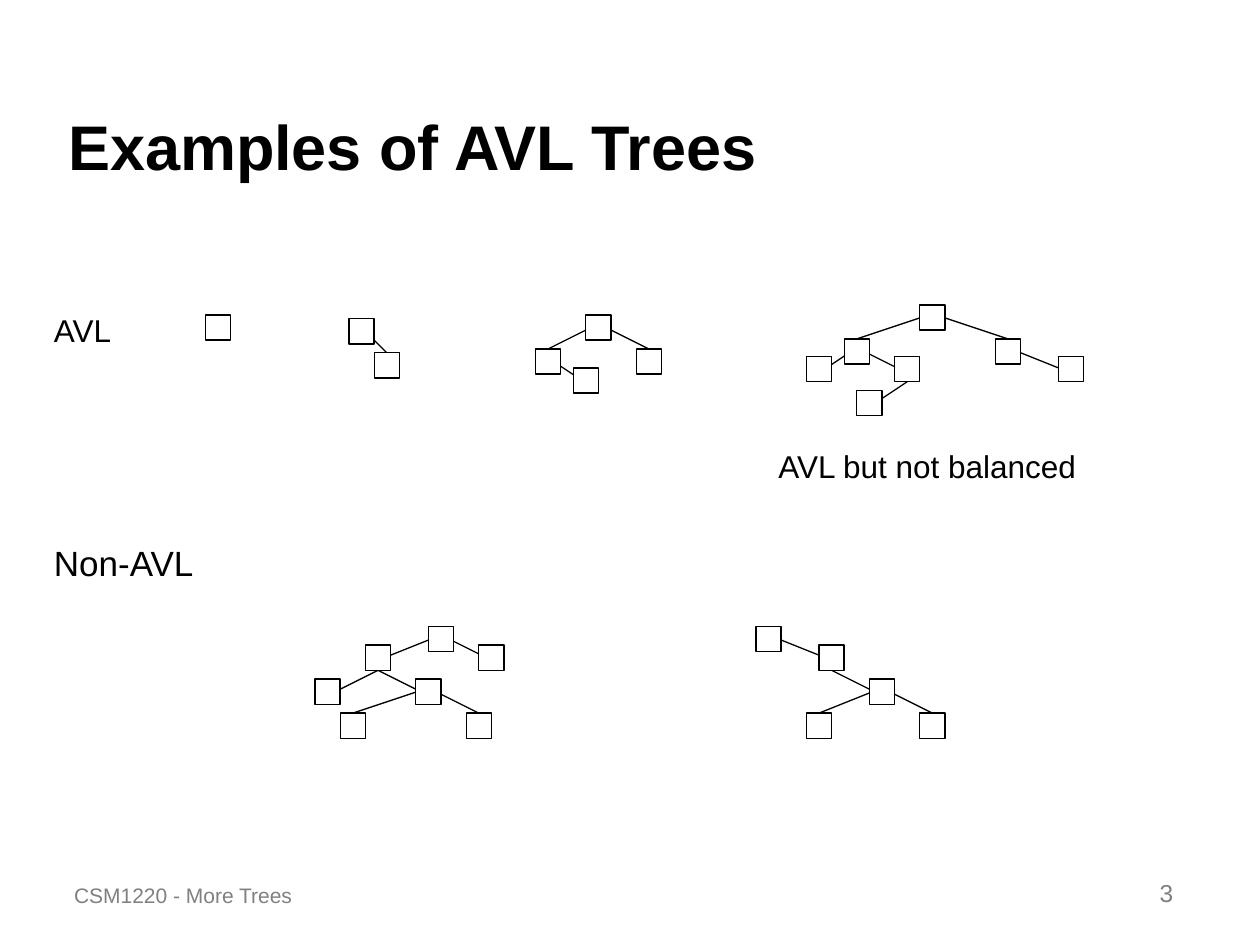
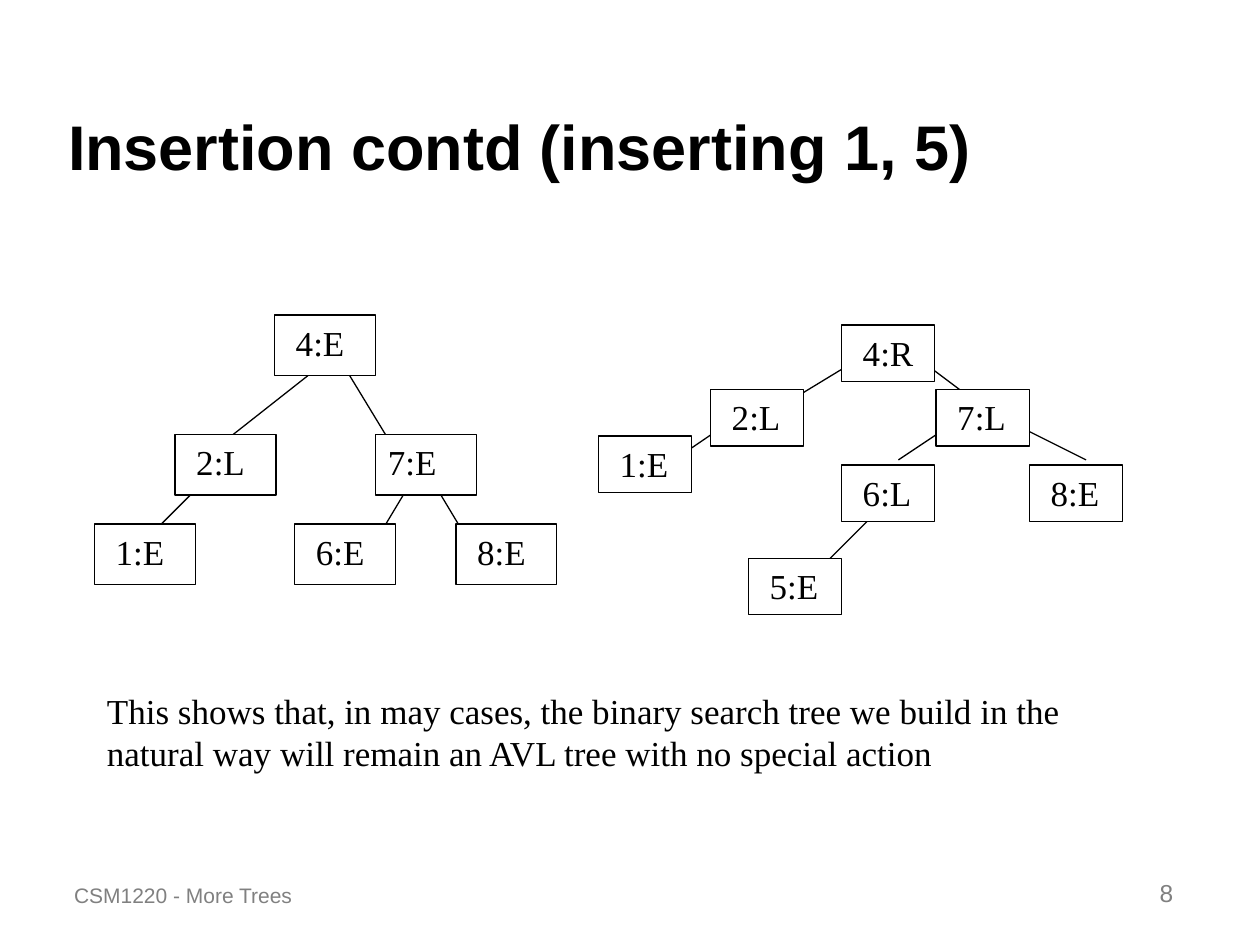
import dataclasses
import typing

import lxml.etree
import pptx
import pptx.dml.color
import pptx.enum.shapes
import pptx.enum.text
import pptx.oxml.ns
import pptx.slide
import pptx.text.text
import pptx.util

Inches = pptx.util.Inches
Pt = pptx.util.Pt
Align = pptx.enum.text.PP_ALIGN
Anchor = pptx.enum.text.MSO_ANCHOR

BLACK = pptx.dml.color.RGBColor(0x00, 0x00, 0x00)
WHITE = pptx.dml.color.RGBColor(0xFF, 0xFF, 0xFF)
GREY = pptx.dml.color.RGBColor(0x80, 0x80, 0x80)
SANS = "Arial"
SERIF = "Times New Roman"

TITLE_ONLY_LAYOUT = 5
LINE_WIDTH = Pt(0.75)
SMALL_BOX = 0.2
EDGE_DROP = 0.2
NEAR_TOP = 0.07
BOTTOM = 0.2
FRAME_FORMAT = {
    "word_wrap": True,
    "auto_size": pptx.enum.text.MSO_AUTO_SIZE.NONE,
    "margin_left": Inches(0.1),
    "margin_right": Inches(0.1),
    "margin_top": Inches(0.05),
    "margin_bottom": Inches(0.05),
}


@dataclasses.dataclass(frozen=True)
class TextStyle:
    size: float
    font: str = SANS
    color: pptx.dml.color.RGBColor = BLACK
    bold: bool = False
    align: Align = Align.LEFT
    anchor: Anchor = Anchor.TOP
    space_before: float = 0


class Caption(typing.NamedTuple):
    text: str
    left: float
    top: float
    width: float
    height: float
    style: TextStyle


class Node(typing.NamedTuple):
    left: float
    top: float
    label: str = ""


class Edge(typing.NamedTuple):
    x1: float
    y1: float
    x2: float
    y2: float


class Branch(typing.NamedTuple):
    parent: int
    child: int
    leave: float = NEAR_TOP


@dataclasses.dataclass(frozen=True)
class Tree:
    nodes: list[Node]
    edges: list[Edge]
    width: float = SMALL_BOX
    height: float = SMALL_BOX


TITLE_STYLE = TextStyle(36, bold=True, anchor=Anchor.BOTTOM)
ROW_STYLE = TextStyle(18, space_before=11.2)
NON_AVL_STYLE = TextStyle(20, space_before=12.5)
NODE_STYLE = TextStyle(20, SERIF)
REMARK_STYLE = TextStyle(20, SERIF, space_before=12.5)
FOOTER_STYLE = TextStyle(12, color=GREY, anchor=Anchor.BOTTOM, space_before=7.5)
NUMBER_STYLE = TextStyle(
    14, color=GREY, align=Align.RIGHT, anchor=Anchor.BOTTOM, space_before=8.8
)


def small_tree(nodes: list[Node], branches: list[Branch]) -> Tree:
    edges = []
    for branch in branches:
        parent, child = nodes[branch.parent], nodes[branch.child]
        start = parent.top + branch.leave
        middle = SMALL_BOX / 2
        edges.append(
            Edge(parent.left + middle, start, child.left + middle, start + EDGE_DROP)
        )
    return Tree(nodes, edges)


EXAMPLE_TREES = [
    small_tree([Node(1.63, 2.5)], []),
    small_tree([Node(2.77, 2.53), Node(2.97, 2.8)], [Branch(0, 1)]),
    small_tree(
        [Node(4.65, 2.5), Node(4.25, 2.77), Node(5.05, 2.77), Node(4.55, 2.92)],
        [Branch(0, 1), Branch(0, 2), Branch(1, 3)],
    ),
    small_tree(
        [
            Node(7.3, 2.42), Node(6.7, 2.69), Node(7.9, 2.69), Node(6.4, 2.83),
            Node(7.1, 2.83), Node(8.4, 2.83), Node(6.8, 3.1),
        ],
        [
            Branch(0, 1), Branch(0, 2), Branch(1, 3), Branch(1, 4),
            Branch(2, 5), Branch(4, 6, BOTTOM),
        ],
    ),
    small_tree(
        [
            Node(3.4, 4.97), Node(2.9, 5.12), Node(3.8, 5.12), Node(2.5, 5.39),
            Node(3.3, 5.39), Node(2.7, 5.66), Node(3.7, 5.66),
        ],
        [
            Branch(0, 1), Branch(0, 2), Branch(1, 3, BOTTOM),
            Branch(1, 4, BOTTOM), Branch(4, 5), Branch(4, 6),
        ],
    ),
    small_tree(
        [
            Node(6, 4.97), Node(6.5, 5.12), Node(6.9, 5.39),
            Node(6.4, 5.66), Node(7.3, 5.66),
        ],
        [Branch(0, 1), Branch(1, 2, BOTTOM), Branch(2, 3), Branch(2, 4)],
    ),
]
EXAMPLE_CAPTIONS = [
    Caption("AVL but not balanced", 6.08, 3.5, 2.83, 0.4, ROW_STYLE),
    Caption("AVL", 0.33, 2.42, 0.83, 0.4, ROW_STYLE),
    Caption("Non-AVL", 0.33, 4.25, 1.5, 0.44, NON_AVL_STYLE),
]

INSERTION_TREES = [
    Tree(
        [
            Node(2.18, 2.5, " 4:E"), Node(1.39, 3.45, " 2:L"),
            Node(2.98, 3.45, "7:E"), Node(0.75, 4.16, " 1:E"),
            Node(2.34, 4.16, " 6:E"), Node(3.62, 4.16, " 8:E"),
        ],
        [
            Edge(2.56, 2.89, 1.76, 3.52), Edge(1.6, 3.84, 1.12, 4.32),
            Edge(2.72, 2.89, 3.2, 3.68), Edge(3.35, 3.68, 3.83, 4.48),
            Edge(3.35, 3.68, 2.87, 4.48),
        ],
        0.8,
        0.48,
    ),
    Tree(
        [
            Node(6.68, 2.58, " 4:R"), Node(5.64, 3.09, " 2:L"),
            Node(7.43, 3.09, " 7:L"), Node(4.75, 3.46, " 1:E"),
            Node(6.68, 3.69, " 6:L"), Node(8.17, 3.69, " 8:E"),
            Node(5.94, 4.43, " 5:E"),
        ],
        [
            Edge(7.03, 3.99, 6.44, 4.58), Edge(6.83, 2.84, 6.09, 3.29),
            Edge(5.79, 3.35, 5.35, 3.65), Edge(7.28, 2.84, 7.88, 3.29),
            Edge(7.58, 3.35, 7.13, 3.65), Edge(8.02, 3.35, 8.62, 3.65),
        ],
        0.74,
        0.45,
    ),
]
INSERTION_CAPTIONS = [
    Caption(
        "This shows that, in may cases, the binary search tree we build in the "
        "natural way will remain an AVL tree with no special action",
        0.75, 5.42, 8.58, 0.77, REMARK_STYLE,
    ),
]


def apply_format(target: typing.Any, values: dict[str, typing.Any]) -> None:
    for name, value in values.items():
        setattr(target, name, value)


def write_text(
    frame: pptx.text.text.TextFrame, text: str, style: TextStyle
) -> None:
    apply_format(frame, FRAME_FORMAT | {"vertical_anchor": style.anchor})
    paragraph = frame.paragraphs[0]
    apply_format(
        paragraph,
        {"alignment": style.align, "space_before": Pt(style.space_before)},
    )
    run = paragraph.add_run()
    run.text = text
    apply_format(
        run.font, {"name": style.font, "size": Pt(style.size), "bold": style.bold}
    )
    run.font.color.rgb = style.color


def draw_caption(slide: pptx.slide.Slide, caption: Caption) -> None:
    box = slide.shapes.add_textbox(
        Inches(caption.left),
        Inches(caption.top),
        Inches(caption.width),
        Inches(caption.height),
    )
    write_text(box.text_frame, caption.text, caption.style)


def draw_edge(slide: pptx.slide.Slide, edge: Edge) -> None:
    line = slide.shapes.add_connector(
        pptx.enum.shapes.MSO_CONNECTOR.STRAIGHT, *map(Inches, edge)
    )
    line.line.color.rgb = BLACK
    line.line.width = LINE_WIDTH
    lxml.etree.SubElement(line._element.spPr, pptx.oxml.ns.qn("a:effectLst"))


def draw_node(slide: pptx.slide.Slide, node: Node, tree: Tree) -> None:
    box = slide.shapes.add_shape(
        pptx.enum.shapes.MSO_SHAPE.RECTANGLE,
        Inches(node.left),
        Inches(node.top),
        Inches(tree.width),
        Inches(tree.height),
    )
    box.shadow.inherit = False
    box.fill.solid()
    box.fill.fore_color.rgb = WHITE
    box.line.color.rgb = BLACK
    box.line.width = LINE_WIDTH
    if node.label:
        write_text(box.text_frame, node.label, NODE_STYLE)


def draw_tree(slide: pptx.slide.Slide, tree: Tree) -> None:
    for edge in tree.edges:
        draw_edge(slide, edge)
    for node in tree.nodes:
        draw_node(slide, node, tree)


def add_tree_slide(
    deck: typing.Any,
    heading: str,
    number: int,
    trees: list[Tree],
    captions: list[Caption],
) -> None:
    slide = deck.slides.add_slide(deck.slide_layouts[TITLE_ONLY_LAYOUT])
    title = slide.shapes.title
    apply_format(
        title,
        {
            "left": Inches(0.44),
            "top": Inches(0.25),
            "width": Inches(9.06),
            "height": Inches(1.25),
        },
    )
    write_text(title.text_frame, heading, TITLE_STYLE)
    for tree in trees:
        draw_tree(slide, tree)
    footers = [
        Caption("CSM1220 - More Trees", 0.49, 6.75, 3, 0.5, FOOTER_STYLE),
        Caption(str(number), 7.33, 6.75, 2.08, 0.5, NUMBER_STYLE),
    ]
    for caption in captions + footers:
        draw_caption(slide, caption)


def main() -> None:
    deck = pptx.Presentation()
    deck.slide_width = Inches(10)
    deck.slide_height = Inches(7.5)
    add_tree_slide(
        deck, "Examples of AVL Trees", 3, EXAMPLE_TREES, EXAMPLE_CAPTIONS
    )
    add_tree_slide(
        deck,
        "Insertion contd (inserting 1, 5)",
        8,
        INSERTION_TREES,
        INSERTION_CAPTIONS,
    )
    deck.save("out.pptx")


if __name__ == "__main__":
    main()
